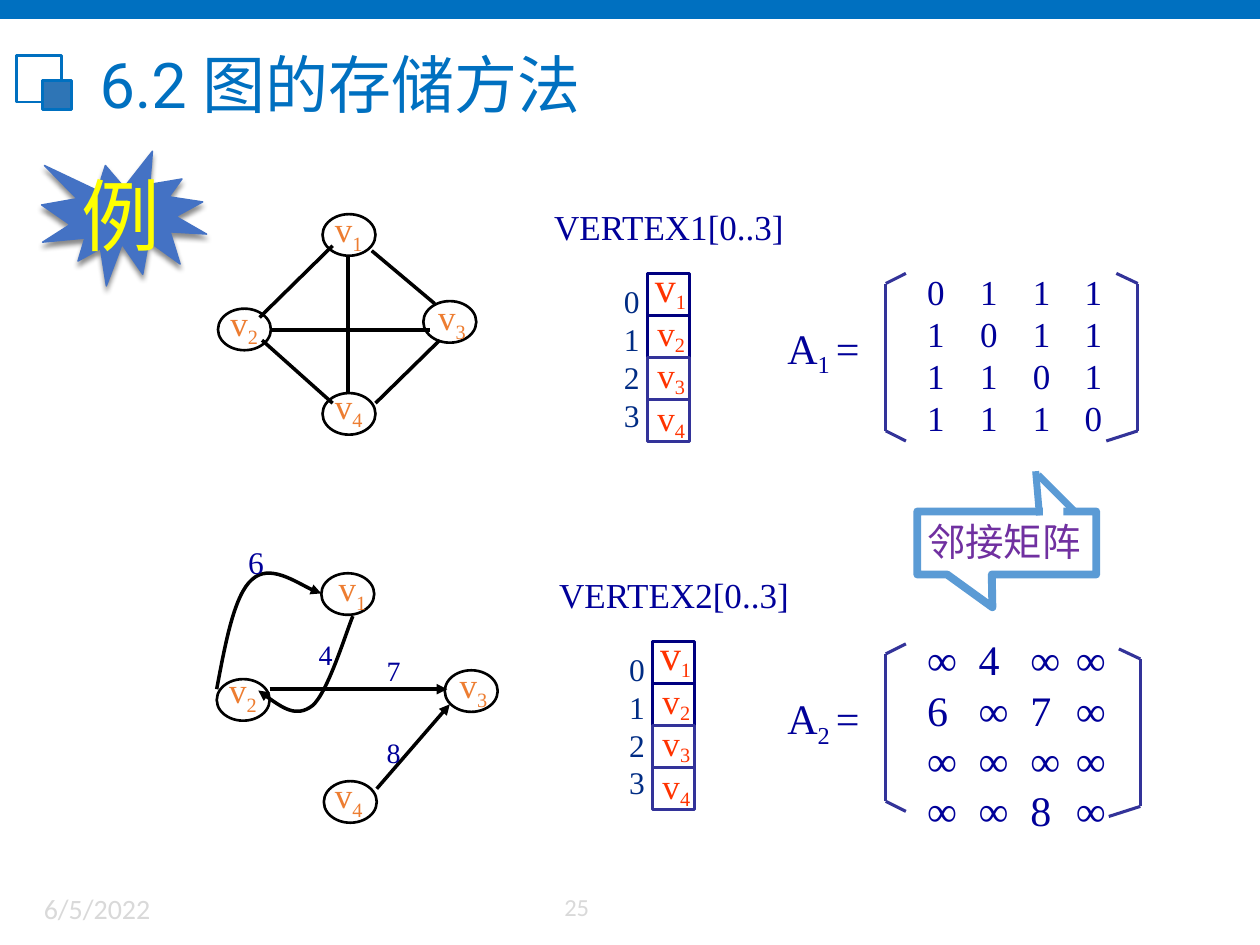
from lxml import etree
from pptx import Presentation
from pptx.dml.color import RGBColor
from pptx.enum.shapes import MSO_CONNECTOR, MSO_SHAPE as SHAPE
from pptx.enum.text import MSO_ANCHOR, PP_ALIGN
from pptx.oxml import parse_xml
from pptx.oxml.ns import nsdecls, qn
from pptx.util import Inches, Pt

COLORS = {
    "brand": "0070C0", "badge": "2E75B6", "muted": "D9D9D9", "ink": "000000",
    "node": "ED7D31", "navy": "000099", "cell": "000080", "bracket": "333399",
    "vertex": "FF3300", "index": "002C84", "callout": "5B9BD5",
    "purple": "7030A0", "seal": "4472C4", "yellow": "FFFF00", "white": "FFFFFF",
}
SERIF = "Times New Roman"


def rgb(name):
    return RGBColor.from_string(COLORS[name])


def set_font(font, size, color, name=SERIF):
    font.size, font.name = Pt(size), name
    font.color.rgb = rgb(color)


def style(shape, fill=None, line=None, width=1):
    shape.shadow.inherit = False
    if fill:
        shape.fill.solid()
        shape.fill.fore_color.rgb = rgb(fill)
    else:
        shape.fill.background()
    if line:
        shape.line.color.rgb = rgb(line)
        shape.line.width = Pt(width)
    else:
        shape.line.fill.background()


def add_shape(page, kind, box, fill=None, line=None, width=1):
    shape = page.shapes.add_shape(kind, *map(Inches, box))
    style(shape, fill, line, width)
    return shape


def add_arrowhead(shape, end):
    etree.SubElement(shape.line._get_or_add_ln(), qn(f"a:{end}"), type="triangle")


def add_line(page, start, end, color, width, arrow=False):
    line = page.shapes.add_connector(MSO_CONNECTOR.STRAIGHT, *map(Inches, (*start, *end)))
    line.line.color.rgb = rgb(color)
    line.line.width = Pt(width)
    if arrow:
        add_arrowhead(line, "tailEnd")
    etree.SubElement(line._element.spPr, qn("a:effectLst"))


def add_curve(page, points, end):
    """Draw cubic curves: a start, then two controls and an end for each."""
    start, *rest = [(Inches(x), Inches(y)) for x, y in points]
    builder = page.shapes.build_freeform(*start)
    builder.add_line_segments(rest, close=False)
    curve = builder.convert_to_shape()
    style(curve, line="ink", width=2)
    add_arrowhead(curve, end)
    segments = list(curve._element.iter(qn("a:lnTo")))
    for first in range(0, len(segments), 3):
        bezier = etree.Element(qn("a:cubicBezTo"))
        segments[first].addprevious(bezier)
        for segment in segments[first:first + 3]:
            bezier.append(segment[0])
            segment.getparent().remove(segment)


def add_text(page, box, lines, size, color, font=SERIF, wrap=False, align=None, tabs=()):
    frame = page.shapes.add_textbox(*map(Inches, box)).text_frame
    frame.word_wrap = wrap
    for number, line in enumerate(lines):
        para = frame.add_paragraph() if number else frame.paragraphs[0]
        para.text = line
        para.alignment = align
        if len(lines) > 1:
            para.line_spacing = Pt(size * 1.2)
        if tabs:
            stops = etree.SubElement(para._p.get_or_add_pPr(), qn("a:tabLst"))
            for stop in tabs:
                etree.SubElement(stops, qn("a:tab"), pos=str(Inches(stop)), algn="l")
        set_font(para.font, size, color, font)
    return frame


def add_subscripted(page, box, parts, size, color, drop, sub_size=None):
    """Write parts in a row, the second one as a subscript."""
    para = add_text(page, box, [""], size, color).paragraphs[0]
    for number, part in enumerate(parts):
        span = para.add_run()
        span.text = part
        set_font(span.font, sub_size if number == 1 and sub_size else size, color)
        if number == 1:
            span._r.get_or_add_rPr().set("baseline", str(-drop * 1000))


def draw_header(page, left, top):
    add_shape(page, SHAPE.RECTANGLE, (0, 0, 10, 0.15), "brand")
    add_shape(page, SHAPE.RECTANGLE, (left, top, 0.36, 0.37), None, "brand", 1.5)
    add_shape(page, SHAPE.RECTANGLE, (left + 0.21, top + 0.2, 0.23, 0.23), "badge", "brand", 1.5)
    title = page.shapes.title
    title.left, title.top, title.width, title.height = map(Inches, (left + 0.56, top - 0.19, 8.47, 0.82))
    frame = title.text_frame
    frame.text = "6.2 图的存储方法"
    frame.vertical_anchor = MSO_ANCHOR.MIDDLE
    frame.paragraphs[0].alignment = PP_ALIGN.LEFT
    set_font(frame.paragraphs[0].font, 36, "brand", "Roboto")


def draw_footer(page, left, top):
    add_text(page, (left, top, 1.84, 0.4), ["6/5/2022"], 16, "muted", "Calibri", wrap=True)
    add_text(page, (left + 4.13, top, 0.62, 0.38), ["25"], 14, "muted", "Calibri", wrap=True)


def draw_graph(page, left, top, nodes, labels, edges, arrows=False, curves=(), weights=()):
    """Draw one graph; all positions are offsets from left and top."""
    def place(point):
        return left + point[0], top + point[1]

    for node in nodes:
        add_shape(page, SHAPE.OVAL, (*place(node), 0.42, 0.33), None, "ink", 1.5)
    for start, end in edges:
        add_line(page, place(start), place(end), "ink", 2, arrows)
    for points, end in curves:
        add_curve(page, [place(point) for point in points], end)
    for number, label in enumerate(labels, 1):
        add_subscripted(page, (*place(label), 0.43, 0.43), ["v", str(number)], 20, "node", 25)
    for weight, point, size in weights:
        add_text(page, (*place(point), 0.31, 0.37), [weight], size, "navy")


def draw_vertex_array(page, left, top, name):
    side = 1 / 3
    for row, color in enumerate(["cell", "cell", "bracket", "bracket"]):
        add_shape(page, SHAPE.RECTANGLE, (left, top + row * side, side, side), None, color, 2)
    add_subscripted(page, (left - 0.04, top - 0.15, 0.46, 0.5), ["v", "1"], 24, "vertex", 20, 20)
    for row, shift in enumerate([-0.08, -0.08, -0.07], 1):
        add_subscripted(page, (left - 0.02, top + row * side + shift, 0.43, 0.43),
                        ["v", str(row + 1)], 20, "vertex", 18)
    add_text(page, (left - 0.84, top - 0.59, 2.1, 0.43), [f"{name}[0..3]"], 20, "navy")
    add_text(page, (left - 0.29, top + 0.02, 0.33, 1.3), list("0123"), 18, "index",
             align=PP_ALIGN.CENTER)


def draw_matrix(page, left, top, number, rows, size, tabs, text_rise, right_shift=(0, 0)):
    """Draw a bracketed matrix with its name; right_shift moves the right bracket."""
    height = 1.17
    add_text(page, (left + 0.23, top - text_rise, 1.8, size / 15 + 0.1),
             ["\t".join(row) for row in rows], size, "navy", wrap=True, tabs=tabs)
    right, right_top = left + 2 + right_shift[0], top + right_shift[1]
    for x, y, upper, lower in ((left, top, 0.16, 0.16), (right, right_top, -0.17, -0.25)):
        corners = [(x + upper, y), (x, y + 0.08), (x, y + 0.08 + height), (x + lower, y + 0.16 + height)]
        for start, end in zip(corners, corners[1:]):
            add_line(page, start, end, "bracket", 1.75)
    add_subscripted(page, (left - 0.88, top + 0.34, 0.8, 0.5), ["A", f"{number} ", "="], 24, "navy", 22)


def draw_callout(page, left, top):
    callout = add_shape(page, SHAPE.RECTANGULAR_CALLOUT, (left, top, 1.42, 0.5), None, "callout", 4.5)
    callout.adjustments[0], callout.adjustments[1] = -0.08, 1.02
    add_line(page, (left + 0.96, top - 0.29), (left + 1.25, top), "callout", 4)
    add_line(page, (left + 0.94, top - 0.32), (left + 0.97, top + 0.03), "callout", 4)
    add_shape(page, SHAPE.RECTANGLE, (left + 1, top - 0.04, 0.16, 0.16), "white")
    add_text(page, (left - 0.02, top, 1.78, 0.47), ["邻接矩阵"], 22, "purple",
             "Noto Sans CJK SC", wrap=True)


def draw_example_seal(page, left, top):
    seal = add_shape(page, SHAPE.EXPLOSION1, (left, top, 1.31, 1.07), "seal", "seal", 0.79)
    seal._element.spPr.find(qn("a:effectLst")).append(parse_xml(
        f'<a:outerShdw {nsdecls("a")} blurRad="{Pt(3)}" dist="{Pt(2.4)}" dir="5400000">'
        f'<a:srgbClr val="{COLORS["ink"]}"><a:alpha val="45000"/></a:srgbClr></a:outerShdw>'))
    add_text(page, (left + 0.22, top + 0.07, 1.17, 0.85), ["例"], 45, "yellow", wrap=True)


def main():
    deck = Presentation()
    deck.slide_width, deck.slide_height = Inches(10), Inches(7.5)
    page = deck.slides.add_slide(deck.slide_layouts[5])
    draw_header(page, 0.13, 0.44)
    draw_footer(page, 0.25, 7.03)
    draw_graph(
        page, 1.73, 1.7,
        nodes=[(0.83, 0), (0, 0.75), (1.63, 0.69), (0.83, 1.42)],
        labels=[(0.83, -0.1), (0, 0.64), (1.65, 0.6), (0.83, 1.3)],
        edges=[((0.33, 0.82), (0.91, 0.25)), ((0.41, 0.92), (1.68, 0.92)),
               ((1.03, 0.34), (1.03, 1.42)), ((1.22, 0.29), (1.72, 0.71)),
               ((1.25, 1.5), (1.76, 1)), ((0.35, 1), (0.91, 1.5))])
    draw_matrix(page, 7.03, 2.17, 1, ["0111", "1011", "1101", "1110"], 20, (0.42, 0.84, 1.25), 0.07)
    draw_graph(
        page, 1.72, 4.55,
        nodes=[(0.83, 0), (0, 0.84), (1.81, 0.77), (0.85, 1.65)],
        labels=[(0.87, -0.1), (0, 0.71), (1.83, 0.67), (0.84, 1.54)],
        edges=[((0.42, 0.92), (1.83, 0.92)), ((1.27, 1.71), (1.85, 1.04))],
        arrows=True,
        curves=[([(0, 0.92), (0.07, 0.55), (0.14, 0.17), (0.28, 0.05),
                  (0.42, -0.08), (0.74, 0.14), (0.83, 0.16)], "tailEnd"),
                ([(0.33, 0.93), (0.48, 1.04), (0.63, 1.15), (0.76, 1.05),
                  (0.88, 0.95), (1.03, 0.46), (1.08, 0.34)], "headEnd")],
        weights=[("6", (0.15, -0.29), 18), ("4", (0.71, 0.46), 16),
                 ("7", (1.25, 0.59), 16), ("8", (1.25, 1.24), 16)])
    draw_matrix(page, 7.03, 5.11, 2, ["∞4∞∞", "6∞7∞", "∞∞∞∞", "∞∞8∞"], 24,
                (0.41, 0.82, 1.18), 0.13, right_shift=(0.02, 0.04))
    draw_callout(page, 7.28, 4.06)
    draw_vertex_array(page, 5.14, 2.17, "VERTEX1")
    draw_vertex_array(page, 5.18, 5.09, "VERTEX2")
    draw_example_seal(page, 0.33, 1.2)
    deck.save("out.pptx")


if __name__ == "__main__":
    main()
